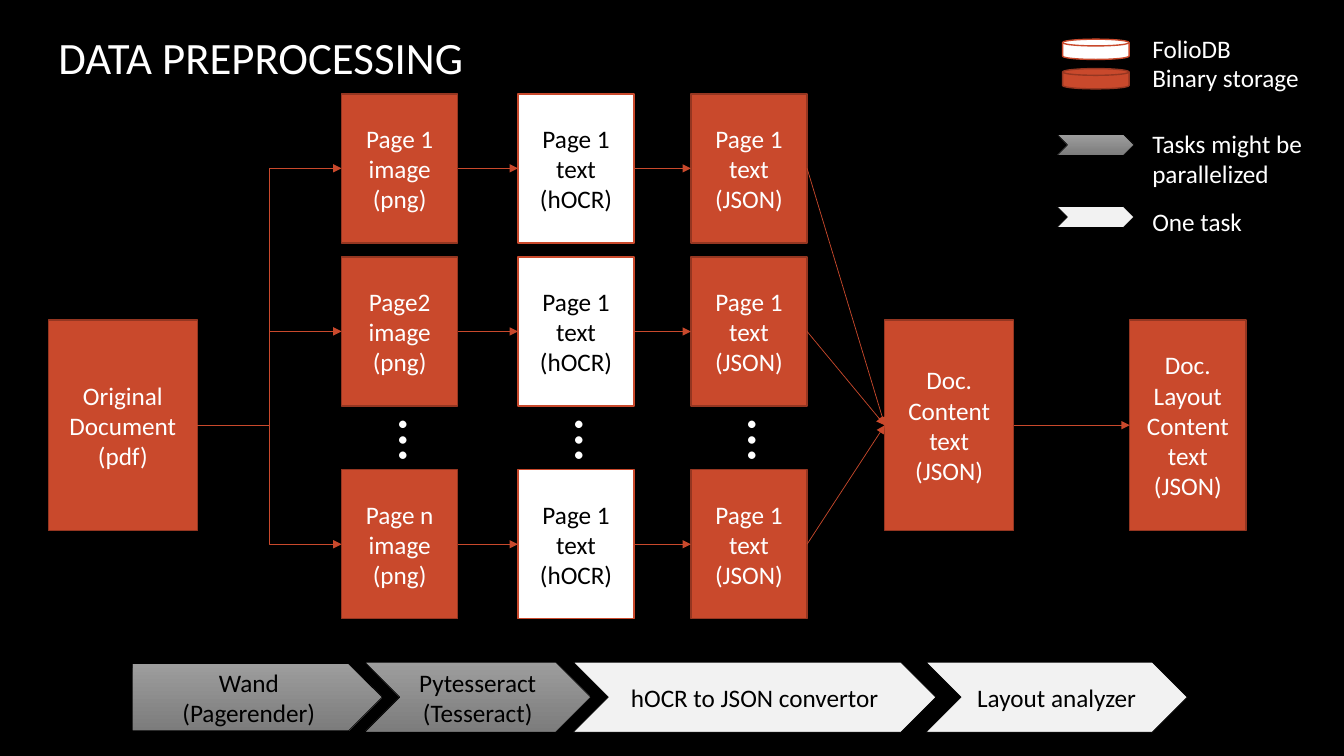
from dataclasses import dataclass

from pptx import Presentation
from pptx.dml.color import RGBColor
from pptx.dml.fill import FillFormat
from pptx.enum.shapes import MSO_CONNECTOR as Link, MSO_SHAPE as Kind
from pptx.enum.text import MSO_ANCHOR as Anchor, MSO_AUTO_SIZE as Fit, PP_ALIGN as Align
from pptx.oxml.ns import qn
from pptx.shapes.autoshape import Shape
from pptx.text.text import TextFrame
from pptx.util import Pt

BLACK, WHITE, PALE = "000000", "FFFFFF", "F2F2F2"
RUST, DARK = "C9492C", "953621"
GREY = ("9D9D9D", "7C7C7C")
LEFT, RIGHT = 1, 3  # connection sites of a rectangle


@dataclass(frozen=True)
class Style:
    """Fill (one colour, or top and bottom of a gradient), outline and text colour."""
    fill: str | tuple[str, str]
    line: str
    width: float
    ink: str


BINARY = Style(RUST, DARK, 1, WHITE)
STORE = Style(WHITE, RUST, 1, BLACK)
MANY = Style(GREY, BLACK, 0.5, BLACK)
ONE = Style(PALE, BLACK, 0.5, BLACK)


@dataclass(frozen=True)
class Item:
    """A shape with its style, place and text."""
    kind: Kind
    style: Style
    left: float
    top: float
    width: float
    height: float
    text: str = ""


@dataclass(frozen=True)
class Label:
    """A text box with its place, text size and turn."""
    text: str
    left: float
    top: float
    width: float
    height: float
    size: float = 18
    turn: float = 0


def color(code: str) -> RGBColor:
    """Turn a hex string into a colour."""
    return RGBColor.from_string(code)


def paint(fill: FillFormat, code: str | tuple[str, str]) -> None:
    """Fill with one colour, or with a gradient from top to bottom."""
    if isinstance(code, str):
        fill.solid()
        fill.fore_color.rgb = color(code)
        return
    fill.gradient()
    fill.gradient_angle = 270
    for stop, part in zip(fill.gradient_stops, code):
        stop.color.rgb = color(part)


def write(frame: TextFrame, text: str, ink: str, size: float, align: Align) -> None:
    """Put text in a frame, one paragraph a line."""
    frame.text = text
    frame.word_wrap = True
    for para in frame.paragraphs:
        para.alignment = align
        para.font.name = "Calibri"
        para.font.size = Pt(size)
        para.font.color.rgb = color(ink)


def draw(item: Item) -> Shape:
    """Draw a shape."""
    shape = slide.shapes.add_shape(
        item.kind, Pt(item.left), Pt(item.top), Pt(item.width), Pt(item.height))
    shape.shadow.inherit = False
    paint(shape.fill, item.style.fill)
    shape.line.color.rgb = color(item.style.line)
    shape.line.width = Pt(item.style.width)
    if item.text:
        write(shape.text_frame, item.text, item.style.ink, 18, Align.CENTER)
        shape.text_frame.vertical_anchor = Anchor.MIDDLE
    return shape


def note(label: Label) -> None:
    """Draw a text box; a turned one is centred."""
    box = slide.shapes.add_textbox(
        Pt(label.left), Pt(label.top), Pt(label.width), Pt(label.height))
    box.rotation = label.turn
    align = Align.CENTER if label.turn else Align.LEFT
    write(box.text_frame, label.text, WHITE, label.size, align)
    box.text_frame.vertical_anchor = Anchor.MIDDLE if label.turn else Anchor.TOP


def join(start: Shape, end: Shape, link: Link = Link.STRAIGHT) -> None:
    """Draw an arrow from the right side of one box to the left side of another."""
    line = slide.shapes.add_connector(
        link, start.left + start.width, start.top + start.height // 2,
        end.left, end.top + end.height // 2)
    line.begin_connect(start, RIGHT)
    line.end_connect(end, LEFT)
    line.line.color.rgb = color(RUST)
    line.line.width = Pt(0.5)
    props = line.line._get_or_add_ln()
    props.append(props.makeelement(qn("a:tailEnd"), {"type": "triangle"}))
    look = line._element.spPr
    look.append(look.makeelement(qn("a:effectLst"), {}))


deck = Presentation()
deck.slide_width, deck.slide_height = Pt(960), Pt(540)
slide = deck.slides.add_slide(deck.slide_layouts[5])
paint(slide.background.fill, BLACK)

title = slide.shapes.title
title.left, title.top, title.width, title.height = Pt(34.5), Pt(17.5), Pt(910), Pt(46)
write(title.text_frame, "DATA PREPROCESSING", WHITE, 32, Align.LEFT)
title.text_frame.vertical_anchor = Anchor.TOP
title.text_frame.auto_size = Fit.NONE

# Documents before and after the pages
source, content, layout = [
    draw(Item(Kind.RECTANGLE, BINARY, left, 228.5, width, 150.5, text))
    for left, width, text in (
        (34.5, 106.5, "Original Document (pdf)"),
        (632, 92, "Doc. Content text (JSON)"),
        (807, 83, "Doc.\nLayout Content text (JSON)"))]
join(content, layout)

# One row for each page, one column for each format
COLS = ((244, BINARY, "{} image\n(png)"),
        (370, STORE, "Page 1 text (hOCR)"),
        (493.5, BINARY, "Page 1 text (JSON)"))
for top, page in ((67, "Page 1"), (183.5, "Page2"), (335.5, "Page n")):
    image, text, data = [
        draw(Item(Kind.RECTANGLE, style, left, top, 83, 106.5, words.format(page)))
        for left, style, words in COLS]
    join(source, image, Link.ELBOW)
    join(image, text)
    join(text, data)
    join(data, content)
for left, _, _ in COLS:
    note(Label("…", left - 24.5, 301.5, 106.5, 26, 44, 270))

# Tasks along the bottom
for task in (
        Item(Kind.PENTAGON, MANY, 94.5, 474, 178.5, 48, "Wand\n(Pagerender)"),
        Item(Kind.CHEVRON, MANY, 260.5, 473, 161.5, 50, "Pytesseract\n(Tesseract)"),
        Item(Kind.CHEVRON, ONE, 409.5, 473, 259, 50, "hOCR to JSON convertor"),
        Item(Kind.CHEVRON, ONE, 661.5, 473, 186.5, 50, "Layout analyzer")):
    draw(task)

# Legend
DISK = Kind.FLOWCHART_MAGNETIC_DISK
for mark, top, height, words in (
        (Item(DISK, STORE, 759, 28, 47.5, 14.5), 20, 29, "FolioDB"),
        (Item(DISK, BINARY, 759, 49, 47.5, 14.5), 41, 29, "Binary storage"),
        (Item(Kind.CHEVRON, MANY, 755, 96, 55, 15), 88, 51, "Tasks might be parallelized"),
        (Item(Kind.CHEVRON, ONE, 755, 147.5, 55, 15), 143.5, 29, "One task")):
    draw(mark)
    note(Label(words, 816, top, 144, height))

deck.save("out.pptx")
